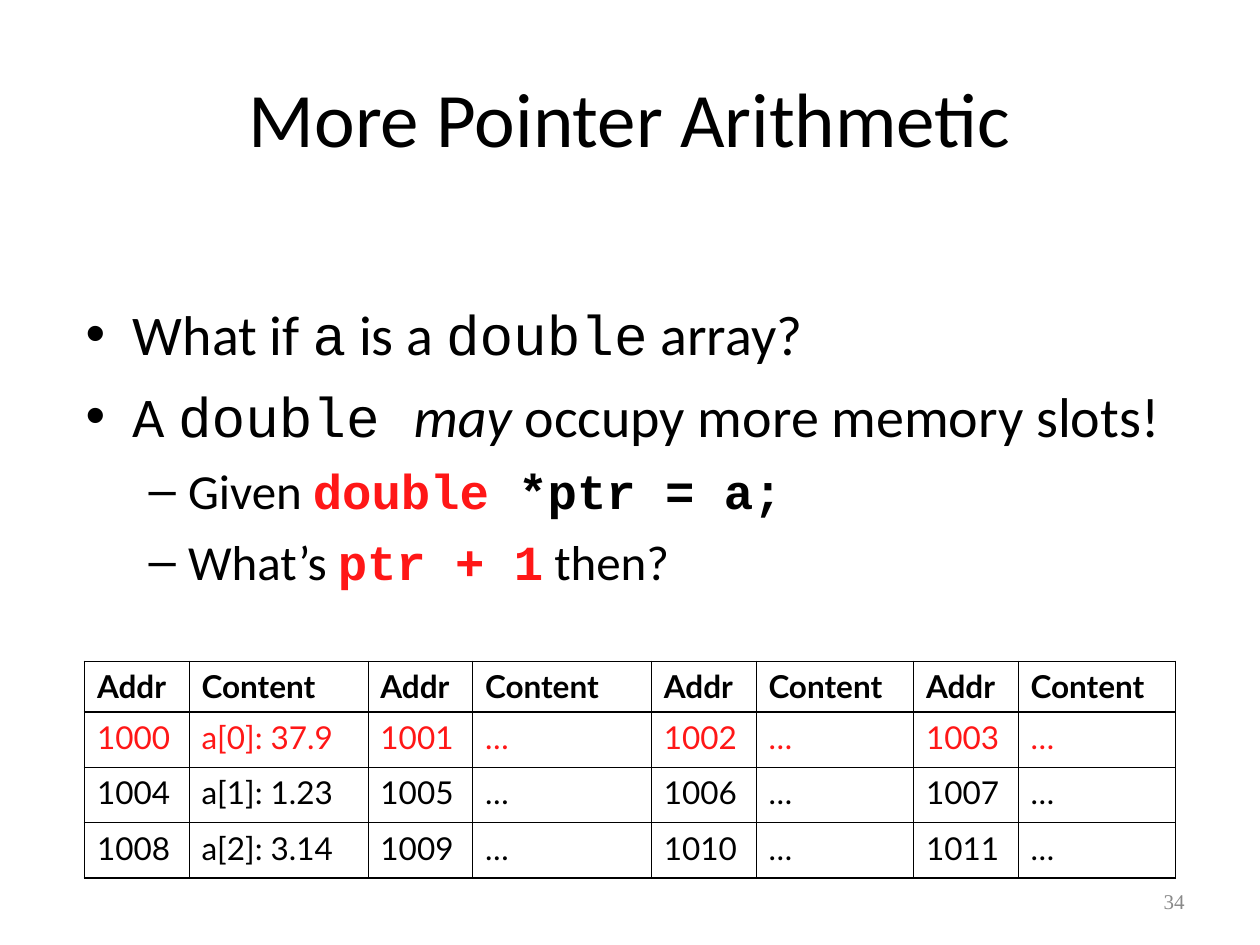
from dataclasses import dataclass

from lxml.etree import SubElement
from pptx import Presentation
from pptx.dml.color import RGBColor
from pptx.enum.text import MSO_ANCHOR, MSO_AUTO_SIZE, PP_ALIGN
from pptx.oxml.ns import qn
from pptx.util import Inches, Pt


@dataclass(frozen=True)
class Theme:
    black: str = "000000"
    red: str = "FF1717"
    grey: str = "898989"
    text_font: str = "Calibri"
    code_font: str = "Courier New"
    table_font: str = "Lato"
    number_font: str = "Times New Roman"
    title_size: int = 44
    body_sizes: tuple = (32, 28)
    space_before: tuple = (8, 7)
    table_size: int = 18
    number_size: int = 12
    thin: float = 0.45
    thick: float = 1.08


def set_font(font, name, size, color, bold=False):
    font.name, font.size, font.bold = name, Pt(size), bold
    font.color.rgb = RGBColor.from_string(color)


def place(sp, left, top, width, height):
    sp.left, sp.top = Inches(left), Inches(top)
    sp.width, sp.height = Inches(width), Inches(height)


class SlideBuilder:
    def __init__(self, prs, theme):
        self.theme = theme
        self.slide = prs.slides.add_slide(prs.slide_layouts[1])

    def title(self, text, box):
        sp = self.slide.shapes.title
        place(sp, *box)
        tf = sp.text_frame
        tf.text = text
        tf.auto_size = MSO_AUTO_SIZE.NONE
        tf.vertical_anchor = MSO_ANCHOR.MIDDLE
        p = tf.paragraphs[0]
        p.alignment = PP_ALIGN.CENTER
        set_font(p.font, self.theme.text_font, self.theme.title_size, self.theme.black)

    def body(self, items, box):
        """Fill the list; each item is (level, runs), each run (text, style words)."""
        t = self.theme
        sp = self.slide.placeholders[1]
        place(sp, *box)
        tf = sp.text_frame
        tf.auto_size = MSO_AUTO_SIZE.NONE
        for i, (level, runs) in enumerate(items):
            p = tf.add_paragraph() if i else tf.paragraphs[0]
            p.level = level
            p.space_before = Pt(t.space_before[level] if i else 0)
            set_font(p.font, t.text_font, t.body_sizes[level], t.black)
            for text, style in runs:
                r = p.add_run()
                r.text = text
                set_font(r.font, t.code_font if "code" in style else t.text_font,
                         t.body_sizes[level], t.red if "red" in style else t.black,
                         "bold" in style)
                r.font.italic = "italic" in style

    def table(self, rows, widths, heights, left, top, red_row):
        t = self.theme
        frame = self.slide.shapes.add_table(
            len(rows), len(widths), Inches(left), Inches(top),
            Inches(sum(widths)), Inches(sum(heights)))
        table = frame.table
        table.first_row = table.horz_banding = False
        for column, width in zip(table.columns, widths):
            column.width = Inches(width)
        last_row, last_col = len(rows) - 1, len(widths) - 1
        for i, values in enumerate(rows):
            table.rows[i].height = Inches(heights[i])
            for j, value in enumerate(values):
                cell = table.cell(i, j)
                cell.text = value
                cell.fill.background()
                set_font(cell.text_frame.paragraphs[0].font, t.table_font, t.table_size,
                         t.red if i == red_row else t.black, bold=i == 0)
                self.borders(cell, {"lnL": j == 0, "lnR": j == last_col,
                                    "lnT": i <= 1, "lnB": i in (0, last_row)})

    def borders(self, cell, thick_sides):
        """Draw the four sides, given in schema order as {tag: is thick}."""
        t = self.theme
        tc_pr = cell._tc.get_or_add_tcPr()
        for position, (tag, thick) in enumerate(thick_sides.items()):
            width = Pt(t.thick if thick else t.thin)
            ln = SubElement(tc_pr, qn(f"a:{tag}"), w=str(width))
            fill = SubElement(ln, qn("a:solidFill"))
            SubElement(fill, qn("a:srgbClr"), val=t.black)
            tc_pr.insert(position, ln)

    def page_number(self, text, box):
        sp = self.slide.shapes.add_textbox(*map(Inches, box))
        tf = sp.text_frame
        tf.word_wrap = True
        tf.vertical_anchor = MSO_ANCHOR.MIDDLE
        p = tf.paragraphs[0]
        p.text = text
        p.alignment = PP_ALIGN.RIGHT
        set_font(p.font, self.theme.number_font, self.theme.number_size, self.theme.grey)


def memory_rows(contents, first_address=1000, slots=4):
    """Return the header and one row of address/content pairs per array element."""
    rows = [["Addr", "Content"] * slots]
    for i, content in enumerate(contents):
        row = []
        for k in range(slots):
            row += [str(first_address + i * slots + k), "…" if k else content]
        rows.append(row)
    return rows


def main():
    prs = Presentation()
    prs.slide_width, prs.slide_height = Inches(10), Inches(7.5)
    s = SlideBuilder(prs, Theme())
    s.title("More Pointer Arithmetic", (0.5, 0.3, 9, 1.25))
    s.body([
        (0, [("What if ", ""), ("a", "code"), (" is a ", ""), ("double", "code"),
             (" array?", "")]),
        (0, [("A ", ""), ("double ", "code"), ("may", "italic"),
             (" occupy more memory slots!", "")]),
        (1, [("Given ", ""), ("double", "code red bold"), (" *ptr = a;", "code bold")]),
        (1, [("What’s ", ""), ("ptr + 1", "code red bold"), (" then?", "")]),
    ], (0.58, 2.33, 9.17, 4.5))
    s.page_number("34", (7.17, 6.95, 2.33, 0.4))
    s.table(memory_rows(["a[0]: 37.9", "a[1]: 1.23", "a[2]: 3.14"]),
            widths=[0.83, 1.42] * 2 + [0.83, 1.25] * 2,
            heights=[0.4] + [0.44] * 3, left=0.67, top=5.25, red_row=1)
    prs.save("out.pptx")


if __name__ == "__main__":
    main()
